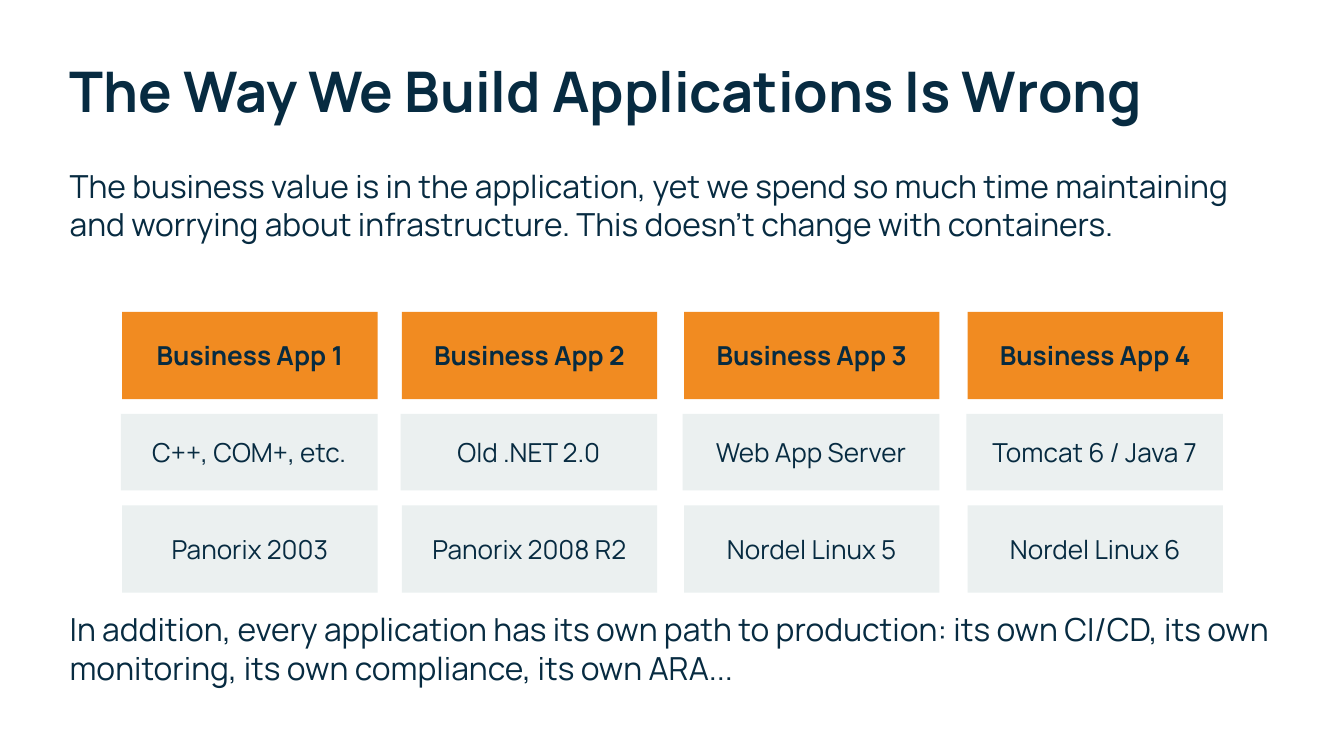
"""Build a slide on business applications and the stacks beneath them."""
from dataclasses import dataclass

from pptx import Presentation
from pptx.dml.color import RGBColor
from pptx.enum.shapes import MSO_SHAPE as Shape
from pptx.enum.text import MSO_ANCHOR as Anchor, PP_ALIGN as Align
from pptx.util import Inches, Pt


@dataclass(frozen=True)
class Theme:
    font: str = "Manrope"
    ink: RGBColor = RGBColor(0x07, 0x2B, 0x41)
    orange: RGBColor = RGBColor(0xF1, 0x8B, 0x21)
    mist: RGBColor = RGBColor(0xEB, 0xF0, 0xF0)
    title_size: int = 30
    body_size: int = 17
    label_size: int = 14


def write_text(shape, text, *, font, size, color, bold=False, align=Align.LEFT,
               anchor=Anchor.TOP, line_spacing=None, space_after=0):
    frame = shape.text_frame
    frame.word_wrap = True
    frame.vertical_anchor = anchor
    frame.margin_left = frame.margin_right = Inches(0.1)
    frame.margin_top = frame.margin_bottom = Inches(0.1)
    paragraph = frame.paragraphs[0]
    paragraph.alignment = align
    paragraph.line_spacing = line_spacing
    paragraph.space_before = Pt(0)
    paragraph.space_after = Pt(space_after)
    run = paragraph.add_run()
    run.text = text
    run.font.name = font
    run.font.size = Pt(size)
    run.font.bold = bold
    run.font.color.rgb = color


class SlideBuilder:
    def __init__(self, slide, theme):
        self.slide = slide
        self.theme = theme

    def text(self, text, top, height, size, **text_format):
        shape = self.slide.shapes.add_textbox(
            Inches(0.42), Inches(top), Inches(9.17), Inches(height))
        write_text(shape, text, font=self.theme.font, size=size,
                   color=self.theme.ink, **text_format)

    def title(self, text):
        self.text(text, 0.38, 0.57, self.theme.title_size, bold=True, line_spacing=0.9)

    def body(self, text, top):
        self.text(text, top, 1.12, self.theme.body_size, space_after=4)

    def box(self, text, left, top, width, height, fill, bold=False):
        shape = self.slide.shapes.add_shape(
            Shape.RECTANGLE, Inches(left), Inches(top), Inches(width), Inches(height))
        shape.shadow.inherit = False
        shape.fill.solid()
        shape.fill.fore_color.rgb = fill
        shape.line.fill.background()
        write_text(shape, text, font=self.theme.font, size=self.theme.label_size,
                   color=self.theme.ink, bold=bold, align=Align.CENTER,
                   anchor=Anchor.MIDDLE)

    def stack(self, left, application, runtime, system):
        self.box(system, left, 3.76, 1.9, 0.65, self.theme.mist)
        self.box(runtime, left - 0.01, 3.08, 1.91, 0.57, self.theme.mist)
        self.box(application, left, 2.32, 1.9, 0.65, self.theme.orange, bold=True)


def main():
    presentation = Presentation()
    presentation.slide_width = Inches(10)
    presentation.slide_height = Inches(10 * 9 / 16)
    slide = presentation.slides.add_slide(presentation.slide_layouts[6])
    builder = SlideBuilder(slide, Theme())

    builder.title("The Way We Build Applications Is Wrong")
    builder.body("The business value is in the application, yet we spend so much time "
                 "maintaining and worrying about infrastructure. This doesn't change "
                 "with containers.", 1.14)
    stacks = [
        (0.91, "C++, COM+, etc.", "Panorix 2003"),
        (2.99, "Old .NET 2.0", "Panorix 2008 R2"),
        (5.09, "Web App Server", "Nordel Linux 5"),
        (7.2, "Tomcat 6 / Java 7", "Nordel Linux 6"),
    ]
    for number, (left, runtime, system) in enumerate(stacks, start=1):
        builder.stack(left, f"Business App {number}", runtime, system)
    builder.body("In addition, every application has its own path to production: its own "
                 "CI/CD, its own monitoring, its own compliance, its own ARA...", 4.44)

    presentation.save("out.pptx")


if __name__ == "__main__":
    main()
